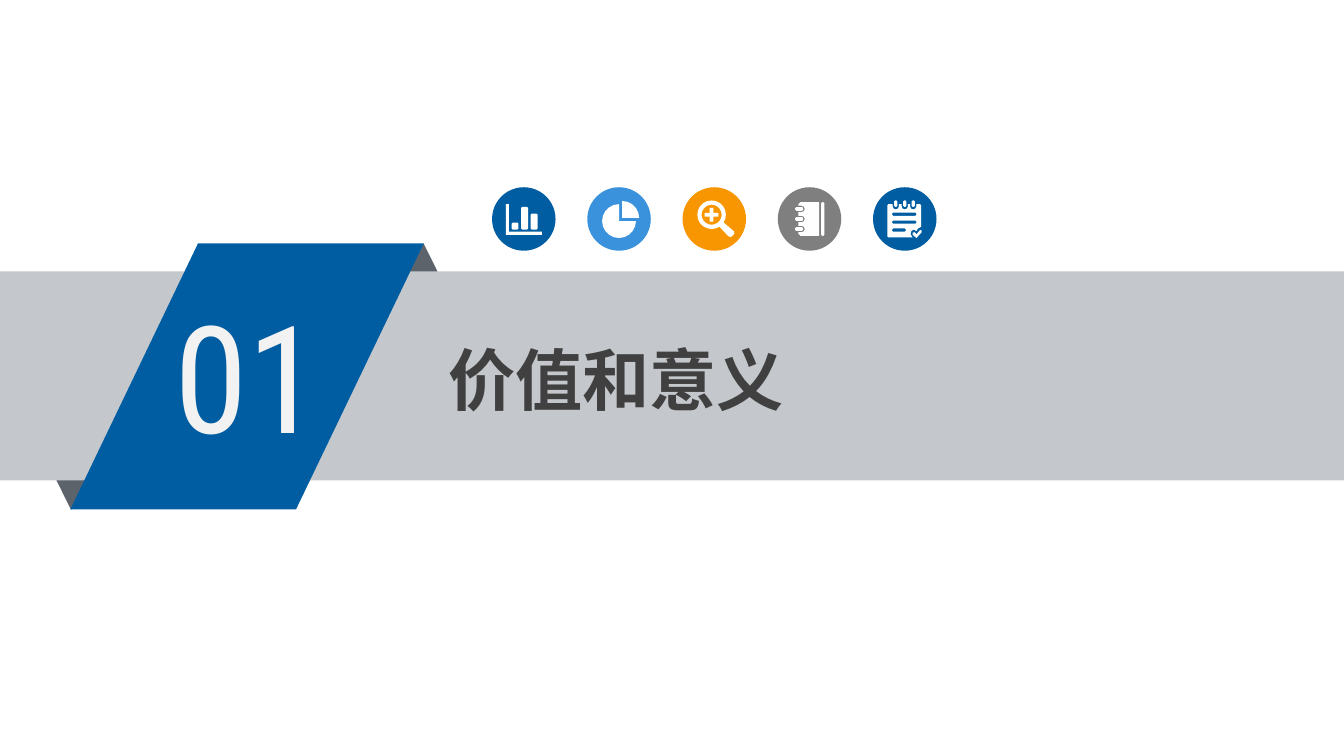
"""Build a section title slide with a folded ribbon and a row of icons."""
from math import cos, radians, sin

from lxml.etree import SubElement
from pptx import Presentation
from pptx.dml.color import RGBColor
from pptx.enum.shapes import MSO_SHAPE
from pptx.enum.text import MSO_AUTO_SIZE
from pptx.oxml.ns import qn
from pptx.util import Cm, Pt

COLORS = {
    "blue": "005DA2", "sky": "3992DB", "orange": "F79600", "gray": "7F7F7F",
    "band": "C4C7CB", "fold": "5D636A", "white": "FFFFFF",
    "number": "F2F2F2", "title": "404040",
}


def paint(shape, color):
    """Give a shape a flat fill without line or shadow."""
    shape.shadow.inherit = False
    shape.fill.solid()
    shape.fill.fore_color.rgb = RGBColor.from_string(COLORS[color])
    shape.line.fill.background()


def add_block(shapes, kind, left, top, width, height, color):
    """Add a flat preset shape, measured in centimetres."""
    shape = shapes.add_shape(kind, Cm(left), Cm(top), Cm(width), Cm(height))
    paint(shape, color)
    return shape


def add_text(page, text, left, top, width, height, font, size, color, bold=False):
    """Add a one-line text box."""
    box = page.shapes.add_textbox(Cm(left), Cm(top), Cm(width), Cm(height))
    frame = box.text_frame
    frame.text = text
    frame.word_wrap = True
    frame.auto_size = MSO_AUTO_SIZE.SHAPE_TO_FIT_TEXT
    frame.margin_left = frame.margin_right = Cm(0.19)
    frame.margin_top = frame.margin_bottom = Cm(0.1)
    span = frame.paragraphs[0].runs[0]
    span.font.name = font
    span.font.size = Pt(size)
    span.font.bold = bold
    span.font.color.rgb = RGBColor.from_string(COLORS[color])
    SubElement(span.font._element, qn("a:ea"), typeface=font)


def arc(x, y, radius, start, end, step=18):
    """Return points along a circular arc, with angles in degrees."""
    count = round(abs(end - start) / step)
    angles = [radians(start + (end - start) * index / count) for index in range(count + 1)]
    return [(x + radius * cos(angle), y + radius * sin(angle)) for angle in angles]


def bevelled(left, top, right, bottom, cut=0.02):
    """Return the outline of a rectangle with softened corners."""
    return [(left, top + cut), (left + cut, top), (right - cut, top), (right, top + cut),
            (right, bottom - cut), (right - cut, bottom), (left + cut, bottom), (left, bottom - cut)]


def bar_chart():
    """Return the outlines of the bar chart icon."""
    axes = [(-0.34, -0.28), (-0.28, -0.28), (-0.28, 0.24), (0.34, 0.24), (0.34, 0.3), (-0.34, 0.3)]
    bars = [(-0.23, 0.07), (-0.05, -0.23), (0.13, -0.1)]
    return [axes] + [bevelled(left, top, left + 0.13, 0.2) for left, top in bars]


def pie_chart():
    """Return the outlines of the pie chart icon."""
    return [[(0.06, -0.02)] + arc(0.06, -0.02, 0.32, 270, 360),
            [(0, 0.04)] + arc(0, 0.04, 0.32, 0, 270)]


def magnifier():
    """Return the outlines of the magnifier icon."""
    x, y, arm, half = -0.05, -0.08, 0.13, 0.035
    handle = [(0.37, 0.23), (0.38, 0.28), (0.32, 0.34), (0.27, 0.33)]
    plus = [(-arm, -half), (-half, -half), (-half, -arm), (half, -arm), (half, -half), (arm, -half),
            (arm, half), (half, half), (half, arm), (-half, arm), (-half, half), (-arm, half)]
    return [arc(x, y, 0.27, 57, 393) + handle, arc(x, y, 0.19, 0, 360),
            [(x + across, y + down) for across, down in plus]]


def notebook():
    """Return the outlines of the ring notebook icon."""
    rows = (0.19, 0, -0.19)
    cover = [(-0.17, -0.32), (0.18, -0.32), (0.18, 0.32), (-0.17, 0.32), (-0.21, 0.28)]
    for row in rows:
        cover += [(-0.21, row + 0.06), *arc(-0.15, row, 0.06, 90, -90, 45), (-0.21, row - 0.06)]
    cover.append((-0.21, -0.28))
    spine = bevelled(0.22, -0.32, 0.28, 0.32)
    return [cover, spine] + [bevelled(-0.27, row - 0.035, -0.12, row + 0.035) for row in rows]


def checklist():
    """Return the outlines of the checklist icon."""
    pins = (-0.17, 0, 0.16)
    sheet = [(-0.33, -0.26), (-0.31, -0.28)]
    for pin in pins:
        sheet += [(pin - 0.06, -0.28), *arc(pin, -0.24, 0.06, 180, 0, 45), (pin + 0.06, -0.28)]
    sheet += [(0.29, -0.28), (0.31, -0.26), (0.31, 0.15), (0.25, 0.18), (0.22, 0.23), (0.17, 0.2),
              (0.12, 0.23), (0.11, 0.29), (0.15, 0.35), (-0.31, 0.35), (-0.33, 0.33)]
    tick = [(0.32, 0.25), (0.22, 0.36), (0.15, 0.3), (0.15, 0.26), (0.19, 0.25),
            (0.22, 0.29), (0.29, 0.21), (0.32, 0.22)]
    lines = [(-0.09, 0.22), (0.06, 0.22), (0.21, 0.02)]
    return ([sheet, tick]
            + [bevelled(pin - 0.03, -0.35, pin + 0.03, -0.23) for pin in pins]
            + [bevelled(-0.24, row - 0.03, end, row + 0.03) for row, end in lines])


def add_icon(page, x, y, color, outlines):
    """Add a white icon on a coloured disc centred at x, y."""
    group = page.shapes.add_group_shape()
    add_block(group.shapes, MSO_SHAPE.OVAL, x - 0.6, y - 0.6, 1.2, 1.2, color)
    builder = None
    for outline in outlines:
        points = [(Cm(x + across), Cm(y + down)) for across, down in outline]
        if builder is None:
            builder = group.shapes.build_freeform(*points[0])
        else:
            builder.move_to(*points[0])
        builder.add_line_segments(points[1:], close=True)
    paint(builder.convert_to_shape(), "white")


def add_ribbon(page):
    """Add the band with the folded number plate."""
    shapes = page.shapes
    add_block(shapes, MSO_SHAPE.ISOSCELES_TRIANGLE, 6.86, 4.6, 2.29, 2.31, "fold")
    lower = add_block(shapes, MSO_SHAPE.ISOSCELES_TRIANGLE, 0.2, 7.33, 2.29, 2.31, "fold")
    lower.rotation = 180
    add_block(shapes, MSO_SHAPE.RECTANGLE, 0, 5.13, 25.4, 3.95, "band")
    plate = add_block(shapes, MSO_SHAPE.PARALLELOGRAM, 1.33, 4.6, 6.68, 5.03, "blue")
    plate.adjustments[0] = 0.48


def main():
    """Build and save the slide."""
    deck = Presentation()
    deck.slide_width, deck.slide_height = Cm(25.4), Cm(14.29)
    page = deck.slides.add_slide(deck.slide_layouts[6])
    add_ribbon(page)
    add_text(page, "01", 3.1, 5.28, 3.68, 3.61, "Roboto Condensed", 80, "number")
    add_text(page, "价值和意义", 8.28, 6.3, 14.02, 1.73, "Noto Sans CJK SC", 36, "title", True)
    icons = [("blue", bar_chart), ("sky", pie_chart), ("orange", magnifier),
             ("gray", notebook), ("blue", checklist)]
    for index, (color, draw) in enumerate(icons):
        add_icon(page, 9.9 + 1.8 * index, 4.14, color, draw())
    deck.save("out.pptx")


if __name__ == "__main__":
    main()
